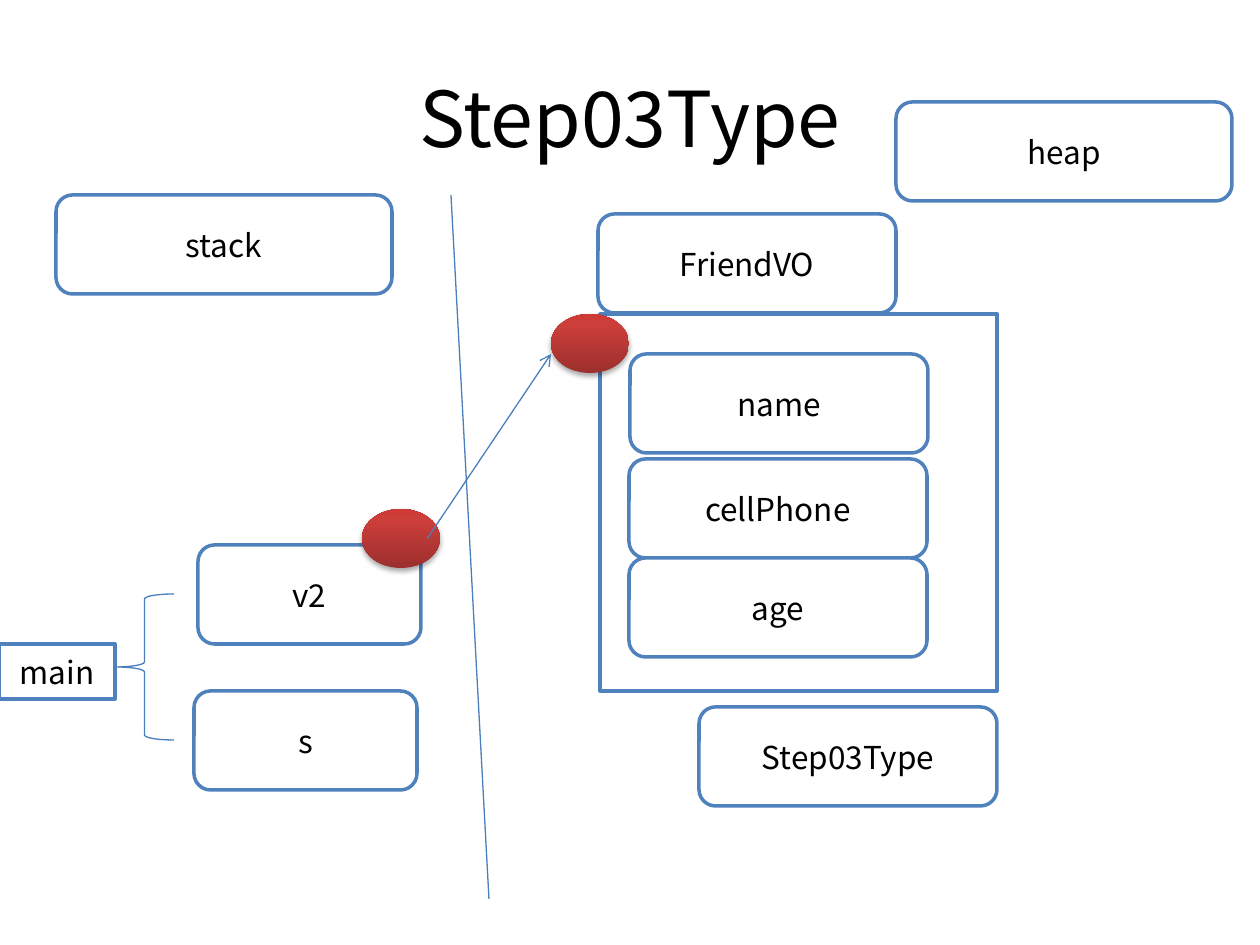
"""Build the Step03Type stack and heap memory diagram slide."""
from lxml import etree
from pptx import Presentation
from pptx.dml.color import RGBColor
from pptx.enum.shapes import MSO_CONNECTOR as LINK, MSO_SHAPE as SHAPE
from pptx.enum.text import MSO_ANCHOR as ANCHOR, PP_ALIGN as ALIGN
from pptx.oxml import parse_xml
from pptx.oxml.ns import nsdecls, qn
from pptx.util import Emu, Pt

FONT = "Noto Sans CJK KR"
BLACK = RGBColor(0x00, 0x00, 0x00)
WHITE = RGBColor(0xFF, 0xFF, 0xFF)
BLUE = RGBColor(0x4F, 0x81, 0xBD)
LINE_BLUE = RGBColor(0x4B, 0x7E, 0xBC)
RED_STOPS = [
    (0, RGBColor(0x9C, 0x2F, 0x2D)),
    (80, RGBColor(0xCB, 0x3E, 0x3A)),
    (100, RGBColor(0xCE, 0x3B, 0x37)),
]


def px(*lengths):
    return [Emu(round(length * 914400 / 126)) for length in lengths]


def write(frame, text, size):
    frame.word_wrap = True
    frame.vertical_anchor = ANCHOR.MIDDLE
    frame.text = text
    paragraph = frame.paragraphs[0]
    paragraph.alignment = ALIGN.CENTER
    for run in paragraph.runs:
        run.font.name = FONT
        run.font.size = Pt(size)
        run.font.color.rgb = BLACK


deck = Presentation()
deck.slide_width, deck.slide_height = px(1260, 945)
slide = deck.slides.add_slide(deck.slide_layouts[6])
shapes = slide.shapes

title = shapes.add_textbox(*px(63, 38, 1134, 157))
write(title.text_frame, "Step03Type", 44)

BOX_HEIGHT = 99
boxes = [
    (SHAPE.RECTANGLE, "", 600, 314, 397, 377),
    (SHAPE.ROUNDED_RECTANGLE, "s", 194, 691, 223, BOX_HEIGHT),
    (SHAPE.ROUNDED_RECTANGLE, "v2", 198, 545, 223, BOX_HEIGHT),
    (SHAPE.ROUNDED_RECTANGLE, "cellPhone", 629, 459, 298, BOX_HEIGHT),
    (SHAPE.ROUNDED_RECTANGLE, "name", 630, 354, 298, BOX_HEIGHT),
    (SHAPE.ROUNDED_RECTANGLE, "age", 629, 558, 298, BOX_HEIGHT),
    (SHAPE.ROUNDED_RECTANGLE, "Step03Type", 699, 707, 298, BOX_HEIGHT),
    (SHAPE.ROUNDED_RECTANGLE, "FriendVO", 598, 214, 298, BOX_HEIGHT),
    (SHAPE.RECTANGLE, "main", -1, 644, 116, 55),
    (SHAPE.ROUNDED_RECTANGLE, "stack", 56, 195, 336, BOX_HEIGHT),
    (SHAPE.ROUNDED_RECTANGLE, "heap", 896, 102, 336, BOX_HEIGHT),
]
for kind, label, *place in boxes:
    box = shapes.add_shape(kind, *px(*place))
    box.shadow.inherit = False
    box.fill.solid()
    box.fill.fore_color.rgb = WHITE
    box.line.color.rgb = BLUE
    box.line.width = Pt(2)
    if label:
        write(box.text_frame, label, 18)

for left, top in [(551, 314), (362, 509)]:
    reference = shapes.add_shape(SHAPE.OVAL, *px(left, top, 78, 59))
    reference.line.fill.background()
    reference.fill.gradient()
    reference.fill.gradient_angle = 90
    stops = reference.element.spPr.find(".//" + qn("a:gsLst"))
    for stop in list(stops):
        stops.remove(stop)
    for position, color in RED_STOPS:
        stops.append(parse_xml(
            f'<a:gs {nsdecls("a")} pos="{position * 1000}">'
            f'<a:srgbClr val="{color}"/></a:gs>'))
    reference.shadow.inherit = False
    effects = reference.element.spPr.find(qn("a:effectLst"))
    effects.append(parse_xml(
        f'<a:outerShdw {nsdecls("a")} blurRad="{Pt(3.1)}" dist="{Pt(1.8)}" '
        'dir="5400000" rotWithShape="0"><a:srgbClr val="000000">'
        '<a:alpha val="35000"/></a:srgbClr></a:outerShdw>'))

brace = shapes.add_shape(SHAPE.LEFT_BRACE, *px(115, 594, 59, 146))
brace.shadow.inherit = False
brace.fill.background()
brace.line.color.rgb = LINE_BLUE
brace.line.width = Pt(0.75)

pointer = shapes.add_connector(LINK.STRAIGHT, *px(427, 539, 551, 354))
divider = shapes.add_connector(LINK.STRAIGHT, *px(451, 195, 489, 899))
for link in (pointer, divider):
    link.line.color.rgb = LINE_BLUE
    link.line.width = Pt(0.75)
    etree.SubElement(link.element.spPr, qn("a:effectLst"))
arrowhead = etree.SubElement(pointer.element.spPr.find(qn("a:ln")), qn("a:tailEnd"))
arrowhead.set("type", "arrow")

deck.save("out.pptx")
